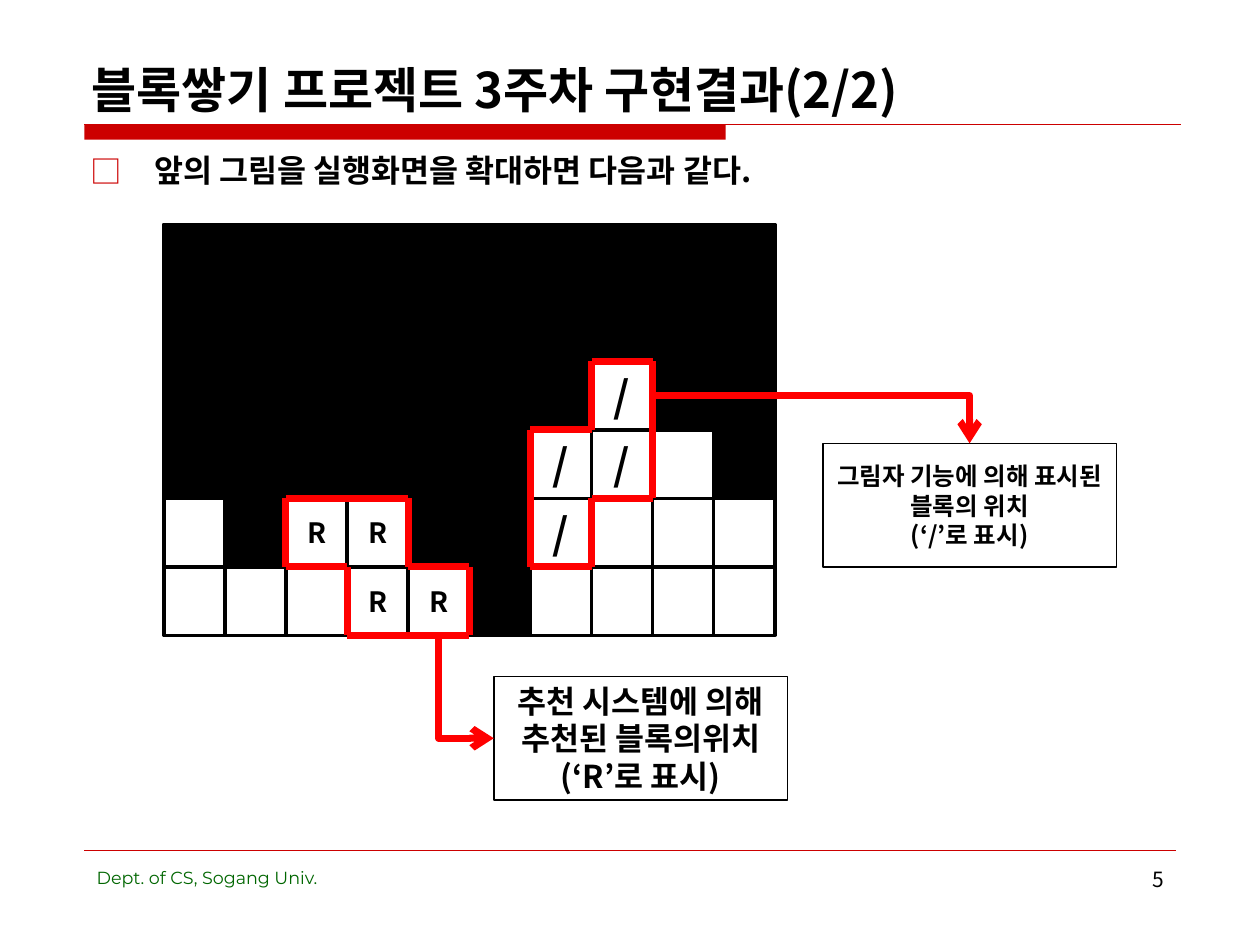
from lxml import etree
from pptx import Presentation
from pptx.dml.color import RGBColor
from pptx.enum.shapes import MSO_CONNECTOR, MSO_SHAPE
from pptx.enum.text import MSO_ANCHOR, PP_ALIGN
from pptx.oxml.ns import qn
from pptx.util import Pt

LINE, ELBOW, RECT = MSO_CONNECTOR.STRAIGHT, MSO_CONNECTOR.ELBOW, MSO_SHAPE.RECTANGLE
TOP, MID, BOTTOM = MSO_ANCHOR.TOP, MSO_ANCHOR.MIDDLE, MSO_ANCHOR.BOTTOM
LEFT, CENTER, RIGHT = PP_ALIGN.LEFT, PP_ALIGN.CENTER, PP_ALIGN.RIGHT
KR, LATIN = "Noto Sans CJK KR", "Montserrat"
BLACK, WHITE, RED, BAR, GREEN = "000000", "FFFFFF", "FF0000", "CC0000", "006600"

# Content
TITLE = "블록쌓기 프로젝트 3주차 구현결과(2/2)"
POINT = "앞의 그림을 실행화면을 확대하면 다음과 같다."
FOOT, PAGE = "Dept. of CS, Sogang Univ.", "5"

# Board: # empty, . filled, R recommended block, / shadow block
BOARD = [
    "##########",
    "##########",
    "#######/##",
    "######//.#",
    ".#RR##/...",
    "...RR#....",
]
MARKS = {"R": 16, "/": 24}
# Corners of each marked block, in board columns and rows
PIECES = [
    [(2, 4), (4, 4), (4, 5), (5, 5), (5, 6), (3, 6), (3, 5), (2, 5)],
    [(7, 2), (8, 2), (8, 4), (7, 4), (7, 5), (6, 5), (6, 3), (7, 3)],
]
# Text, size, left, top
NOTES = [
    ("추천 시스템에 의해 추천된 블록의위치\n(‘R’로 표시)", 18, 282.2, 386.6),
    ("그림자 기능에 의해 표시된 블록의 위치\n(‘/’로 표시)", 14, 470.2, 253.4),
]
NOTE_W, NOTE_H = 167.8, 70.6
X0, Y0, CELL_W, CELL_H = 93.6, 128.2, 34.92, 39.15

deck = Presentation()
deck.slide_width, deck.slide_height = Pt(720), Pt(540)
slide = deck.slides.add_slide(deck.slide_layouts[6])
shapes = slide.shapes


def color(code):
    return RGBColor.from_string(code)


def spot(col, row):
    return X0 + col * CELL_W, Y0 + row * CELL_H


def write(shape, text, size, align=LEFT, anchor=TOP, font=KR, bold=True, ink=BLACK):
    frame = shape.text_frame
    frame.text = text
    frame.word_wrap = True
    frame.vertical_anchor = anchor
    for para in frame.paragraphs:
        para.alignment = align
        for run in para.runs:
            run.font.size, run.font.bold, run.font.name = Pt(size), bold, font
            run.font.color.rgb = color(ink)
            east = etree.SubElement(run.font._element, qn("a:ea"))
            east.set("typeface", font)


def label(text, x, y, w, h, size, **style):
    box = shapes.add_textbox(Pt(x), Pt(y), Pt(w), Pt(h))
    write(box, text, size, **style)
    return box


def rect(x, y, w, h, fill=None, line=None, width=1):
    box = shapes.add_shape(RECT, Pt(x), Pt(y), Pt(w), Pt(h))
    box.shadow.inherit = False
    if fill:
        box.fill.solid()
        box.fill.fore_color.rgb = color(fill)
    else:
        box.fill.background()
    if line:
        box.line.color.rgb = color(line)
        box.line.width = Pt(width)
    else:
        box.line.fill.background()
    return box


def link(start, end, ink, width, kind=LINE):
    line = shapes.add_connector(kind, *(Pt(v) for v in (*start, *end)))
    line.line.color.rgb = color(ink)
    line.line.width = Pt(width)
    etree.SubElement(line._element.spPr, qn("a:effectLst"))
    return line


def bend(start, end, down=False):
    """Arrow with one corner; down means it leaves downwards."""
    (x1, y1), (x2, y2) = start, end
    if down:  # a quarter turn swaps the sides about the centre
        cx, cy, dx, dy = (x1 + x2) / 2, (y1 + y2) / 2, (x2 - x1) / 2, (y2 - y1) / 2
        start, end = (cx - dy, cy - dx), (cx + dy, cy + dx)
    line = link(start, end, RED, 4, ELBOW)
    props = line._element.spPr
    props.find(qn("a:prstGeom")).set("prst", "bentConnector2")
    if down:
        props.find(qn("a:xfrm")).set("rot", "16200000")
        props.find(qn("a:xfrm")).set("flipH", "1")
    tip = etree.SubElement(props.find(qn("a:ln")), qn("a:tailEnd"))
    tip.set("type", "arrow")


# Header and footer rules
rect(48.2, 71.3, 366.5, 8.6, BAR)
link((48.2, 71.3), (674.6, 71.3), BAR, 0.75)
link((48.2, 486), (671.8, 486), BAR, 0.25)

# Title, bullet point, footer
label(TITLE, 45.4, 23.8, 630, 47.5, 28, anchor=BOTTOM)
body = label(POINT, 44.6, 82.8, 630, 391, 18)
para = body.text_frame.paragraphs[0]
para.space_before = Pt(4.5)
props = para._p.get_or_add_pPr()
props.set("marL", str(Pt(36.7)))
props.set("indent", str(-Pt(36.7)))
tint = etree.SubElement(props, qn("a:buClr"))
etree.SubElement(tint, qn("a:srgbClr")).set("val", BAR)
etree.SubElement(props, qn("a:buFont")).set("typeface", KR)
etree.SubElement(props, qn("a:buChar")).set("char", "□")
label(FOOT, 48.2, 491.8, 255.6, 37.4, 10, font=LATIN, bold=False, ink=GREEN)
label(PAGE, 516.2, 491.8, 156.2, 37.4, 12, align=RIGHT, bold=False)

# Board: empty cells first, so that filled ones keep their edges
cells = [(mark, c, r) for r, row in enumerate(BOARD) for c, mark in enumerate(row)]
for mark, col, row in sorted(cells, key=lambda cell: cell[0] != "#"):
    cell = rect(*spot(col, row), CELL_W, CELL_H, BLACK if mark == "#" else WHITE, BLACK, 2)
    if mark in MARKS:
        write(cell, mark, MARKS[mark], CENTER, MID)

# Red outlines
for piece in PIECES:
    for start, end in zip(piece, piece[1:] + piece[:1]):
        link(spot(*start), spot(*end), RED, 4)

# Notes and their arrows
for text, size, x, y in NOTES:
    write(rect(x, y, NOTE_W, NOTE_H, line=BLACK), text, size, CENTER, MID)
(_, _, x1, y1), (_, _, x2, y2) = NOTES
bend(spot(4.5, 6), (x1, y1 + NOTE_H / 2), down=True)
bend(spot(8, 2.5), (x2 + NOTE_W / 2, y2))

deck.save("out.pptx")
